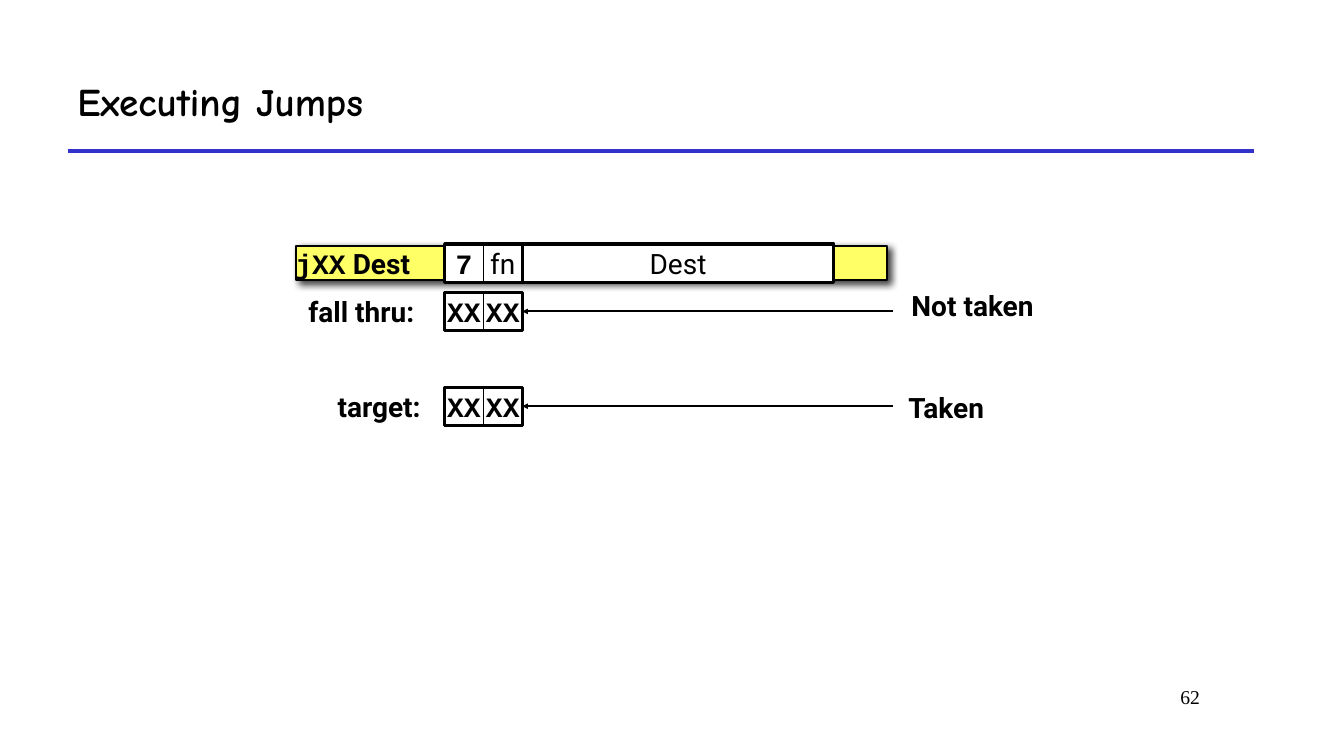
from dataclasses import dataclass

from lxml import etree
from pptx import Presentation
from pptx.dml.color import RGBColor
from pptx.enum import shapes, text
from pptx.oxml import ns
from pptx.shapes.autoshape import Shape
from pptx.shapes.connector import Connector
from pptx.slide import Slide
from pptx.util import Inches, Pt


@dataclass(frozen=True)
class Theme:
    ink: RGBColor = RGBColor(0, 0, 0)
    paper: RGBColor = RGBColor(255, 255, 255)
    band: RGBColor = RGBColor(0xFF, 0xFF, 0x66)
    rule: RGBColor = RGBColor(0x33, 0x33, 0xCC)
    sans: str = "Roboto"
    mono: str = "Courier New"
    heading: str = "Comic Neue"
    serif: str = "Times New Roman"
    title_size: float = 28
    body_size: float = 20
    number_size: float = 14
    thin: float = 0.5
    medium: float = 1.5
    heavy: float = 2.25
    rule_width: float = 3


THEME = Theme()


@dataclass(frozen=True)
class Span:
    words: str
    font: str = THEME.sans
    size: float = THEME.body_size
    bold: bool = True


@dataclass(frozen=True)
class Area:
    left: float
    top: float
    width: float
    height: float


@dataclass(frozen=True)
class Label:
    area: Area
    spans: tuple[Span, ...]
    align: text.PP_ALIGN = text.PP_ALIGN.LEFT
    anchor: text.MSO_ANCHOR = text.MSO_ANCHOR.MIDDLE
    wrap: bool = False
    side_inset: float = 0.1
    line_spacing: float = 1.0


@dataclass(frozen=True)
class CodeRow:
    top: float
    cells: tuple[Span, Span]
    arrow: bool


CODE_LEFT, CODE_WIDTH, ROW_HEIGHT = 4.41, 0.77, 0.38
ARROW_START = 8.86
JUMP_TOP, FALL_TOP, TARGET_TOP = 2.42, 2.9, 3.84
UNKNOWN = Span("XX", THEME.mono)

ROWS = (
    CodeRow(JUMP_TOP, (Span("7", THEME.mono), Span("fn", bold=False)), False),
    CodeRow(FALL_TOP, (UNKNOWN, UNKNOWN), True),
    CodeRow(TARGET_TOP, (UNKNOWN, UNKNOWN), True),
)


def row_label(left: float, top: float, *spans: Span) -> Label:
    """Describe the caption at the left of a code row."""
    return Label(Area(left, top, 1.41, ROW_HEIGHT), spans)


def outcome_label(left: float, top: float, width: float, words: str) -> Label:
    """Describe the caption at the start of an arrow."""
    return Label(Area(left, top, width, 0.4), (Span(words),), anchor=text.MSO_ANCHOR.TOP,
                 side_inset=0.05, line_spacing=0.9)


LABELS = (
    Label(Area(0.67, 0.5, 11.78, 1),
          (Span("Executing Jumps", THEME.heading, THEME.title_size),), wrap=True),
    Label(Area(10.11, 6.75, 1.89, 0.5),
          (Span("62", THEME.serif, THEME.number_size, False),),
          text.PP_ALIGN.RIGHT, text.MSO_ANCHOR.TOP, True),
    row_label(2.83, JUMP_TOP, Span("jXX", THEME.mono), Span(" Dest")),
    row_label(2.96, FALL_TOP, Span("fall thru:")),
    row_label(3.25, TARGET_TOP, Span("target:")),
    outcome_label(8.99, 2.85, 1.37, "Not taken"),
    outcome_label(8.96, 3.86, 0.9, "Taken"),
)


def write(box: Shape, label: Label) -> None:
    """Fill a box with one formatted paragraph."""
    frame = box.text_frame
    frame.word_wrap = label.wrap
    frame.vertical_anchor = label.anchor
    frame.margin_left = frame.margin_right = Inches(label.side_inset)
    frame.margin_top = frame.margin_bottom = Inches(0.05)
    para = frame.paragraphs[0]
    para.alignment = label.align
    para.line_spacing = label.line_spacing
    for span in label.spans:
        run = para.add_run()
        run.text = span.words
        run.font.name = span.font
        run.font.size = Pt(span.size)
        run.font.bold = span.bold
        run.font.color.rgb = THEME.ink


def add_label(page: Slide, label: Label) -> None:
    """Add a text box for a label."""
    area = label.area
    write(page.shapes.add_textbox(Inches(area.left), Inches(area.top),
                                  Inches(area.width), Inches(area.height)), label)


def add_box(page: Slide, area: Area, line: float, fill: RGBColor | None = None,
            span: Span | None = None) -> Shape:
    """Add an outlined rectangle with optional fill and centred text."""
    box = page.shapes.add_shape(shapes.MSO_SHAPE.RECTANGLE, Inches(area.left),
                                Inches(area.top), Inches(area.width), Inches(area.height))
    box.shadow.inherit = False
    box.line.color.rgb = THEME.ink
    box.line.width = Pt(line)
    if fill is None:
        box.fill.background()
    else:
        box.fill.solid()
        box.fill.fore_color.rgb = fill
    if span is not None:
        write(box, Label(area, (span,), text.PP_ALIGN.CENTER))
    return box


def add_band(page: Slide) -> None:
    """Add the highlighted band with its drop shadow."""
    band = add_box(page, Area(2.94, 2.44, 5.86, 0.34), THEME.medium, THEME.band)
    effects = band._element.spPr.find(ns.qn("a:effectLst"))
    shadow = etree.SubElement(effects, ns.qn("a:outerShdw"), blurRad=str(Pt(5)),
                              dist=str(Pt(3)), dir=str(45 * 60000), rotWithShape="0")
    color = etree.SubElement(shadow, ns.qn("a:srgbClr"), val=str(THEME.ink))
    etree.SubElement(color, ns.qn("a:alpha"), val="75000")


def add_line(page: Slide, left: float, right: float, y: float, color: RGBColor,
             width: float) -> Connector:
    """Add a horizontal line without a shadow."""
    line = page.shapes.add_connector(shapes.MSO_CONNECTOR.STRAIGHT, Inches(left), Inches(y),
                                     Inches(right), Inches(y))
    line.line.color.rgb = color
    line.line.width = Pt(width)
    etree.SubElement(line._element.spPr, ns.qn("a:effectLst"))
    return line


def add_row(page: Slide, row: CodeRow) -> None:
    """Add two code cells, their frame and the arrow that points at them."""
    cell_width = CODE_WIDTH / 2
    for index, span in enumerate(row.cells):
        area = Area(CODE_LEFT + index * cell_width, row.top, cell_width, ROW_HEIGHT)
        add_box(page, area, THEME.thin, THEME.paper, span)
    frame = add_box(page, Area(CODE_LEFT, row.top, CODE_WIDTH, ROW_HEIGHT), THEME.heavy)
    if row.arrow:
        arrow = add_line(page, ARROW_START, CODE_LEFT + CODE_WIDTH,
                         row.top + ROW_HEIGHT / 2, THEME.ink, THEME.medium)
        arrow.end_connect(frame, 3)
        etree.SubElement(arrow.line._get_or_add_ln(), ns.qn("a:tailEnd"),
                         type="triangle", w="sm", len="sm")


def main() -> None:
    """Build and save the slide."""
    deck = Presentation()
    deck.slide_width, deck.slide_height = Inches(13.33), Inches(7.5)
    page = deck.slides.add_slide(deck.slide_layouts[6])
    add_line(page, 0.67, 12.44, 1.5, THEME.rule, THEME.rule_width)
    add_band(page)
    for row in ROWS:
        add_row(page, row)
    add_box(page, Area(CODE_LEFT + CODE_WIDTH, JUMP_TOP, 3.09, ROW_HEIGHT), THEME.heavy,
            THEME.paper, Span("Dest", bold=False))
    for label in LABELS:
        add_label(page, label)
    deck.save("out.pptx")


if __name__ == "__main__":
    main()
